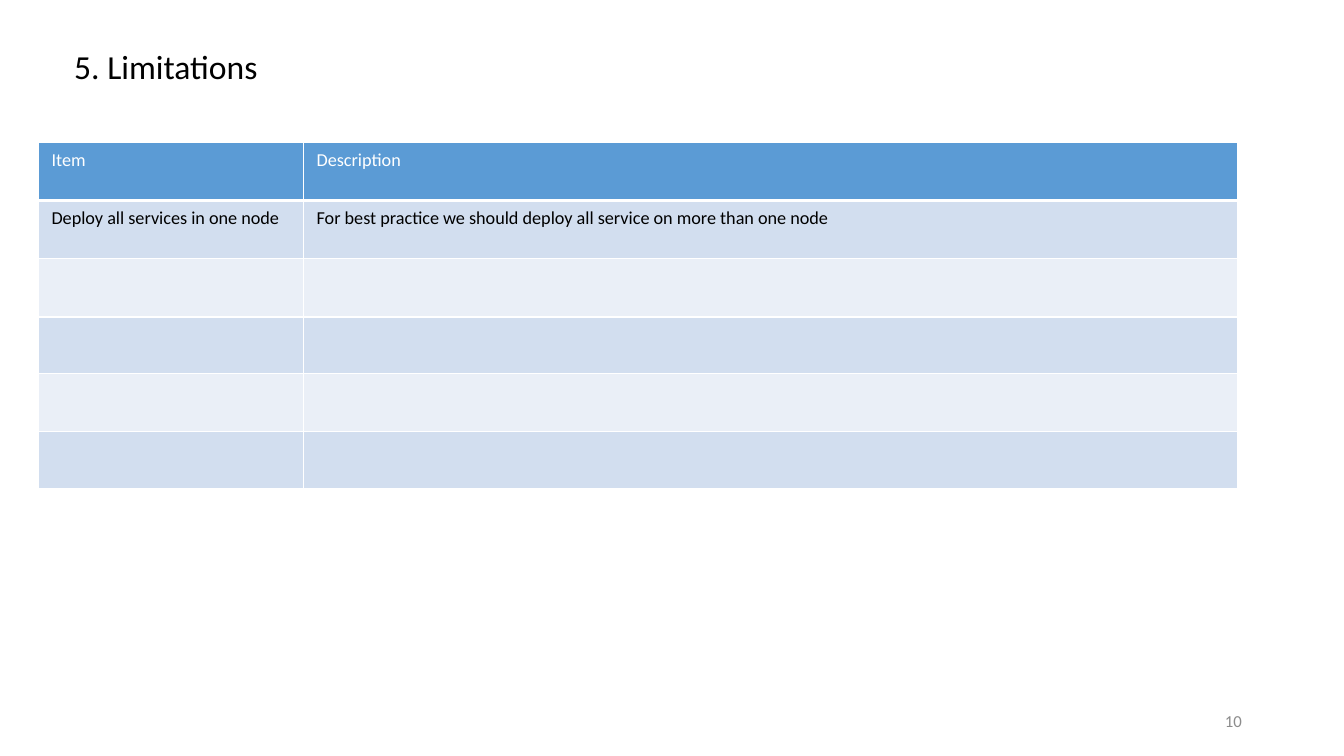
from lxml.etree import SubElement
from pptx import Presentation
from pptx.dml.color import RGBColor
from pptx.enum.text import MSO_ANCHOR, MSO_AUTO_SIZE, PP_ALIGN
from pptx.oxml.ns import qn
from pptx.util import Cm, Pt

BLACK = RGBColor(0x00, 0x00, 0x00)
WHITE = RGBColor(0xFF, 0xFF, 0xFF)
GREY = RGBColor(0x8C, 0x8C, 0x8C)
HEADER_BLUE = RGBColor(0x5B, 0x9B, 0xD5)
BAND_COLORS = (RGBColor(0xEA, 0xEF, 0xF7), RGBColor(0xD2, 0xDE, 0xEF))

TITLE_BOX = (Cm(1.42), Cm(1.02), Cm(17.4), Cm(1.27))
TABLE_BOX = (Cm(0.97), Cm(3.58), Cm(30.23), Cm(8.72))
NUMBER_BOX = (Cm(23.93), Cm(17.65), Cm(7.62), Cm(1.02))

COLUMN_WIDTHS = (Cm(6.68), Cm(23.55))
ROW_HEIGHTS = tuple(Cm(height) for height in (1.47, 1.47, 1.47, 1.42, 1.47, 1.42))
TABLE_TEXTS = (
    ("Item", "Description"),
    (
        "Deploy all services in one node",
        "For best practice we should deploy all service on more than one node",
    ),
)


def set_attributes(target, values):
    for name, value in values.items():
        setattr(target, name, value)


def write_text(text_frame, text, size, color, alignment=PP_ALIGN.LEFT):
    paragraph = text_frame.paragraphs[0]
    paragraph.alignment = alignment
    run = paragraph.add_run()
    run.text = text
    set_attributes(run.font, {"name": "Calibri", "size": Pt(size), "bold": False})
    run.font.color.rgb = color


def add_cell_borders(cell, bottom_width):
    """Draw white lines round a cell; call before filling it to keep the XML order."""
    properties = cell._tc.get_or_add_tcPr()
    for side in ("lnL", "lnR", "lnT", "lnB"):
        width = bottom_width if side == "lnB" else Pt(1)
        line = SubElement(properties, qn(f"a:{side}"), w=str(width))
        fill = SubElement(line, qn("a:solidFill"))
        SubElement(fill, qn("a:srgbClr"), val=str(WHITE))


def add_title(slide, box):
    title = slide.shapes.title
    set_attributes(title, dict(zip(("left", "top", "width", "height"), box)))
    set_attributes(title.text_frame, {
        "word_wrap": True,
        "auto_size": MSO_AUTO_SIZE.SHAPE_TO_FIT_TEXT,
        "vertical_anchor": MSO_ANCHOR.TOP,
        "margin_left": Cm(0.45),
    })
    write_text(title.text_frame, "5. Limitations", 24, BLACK)


def add_limitations_table(slide, box):
    table = slide.shapes.add_table(len(ROW_HEIGHTS), len(COLUMN_WIDTHS), *box).table
    for column, width in zip(table.columns, COLUMN_WIDTHS):
        column.width = width
    for row_index, (row, height) in enumerate(zip(table.rows, ROW_HEIGHTS)):
        row.height = height
        is_header = row_index == 0
        for cell in row.cells:
            add_cell_borders(cell, Pt(3) if is_header else Pt(1))
            cell.fill.solid()
            cell.fill.fore_color.rgb = HEADER_BLUE if is_header else BAND_COLORS[row_index % 2]
            set_attributes(cell, {
                "margin_left": Cm(0.33),
                "margin_right": Cm(0.33),
                "margin_top": Cm(0.18),
                "margin_bottom": Cm(0.18),
            })
    for row_index, texts in enumerate(TABLE_TEXTS):
        for column_index, text in enumerate(texts):
            cell = table.cell(row_index, column_index)
            write_text(cell.text_frame, text, 13, WHITE if row_index == 0 else BLACK)


def add_slide_number(slide, box):
    text_frame = slide.shapes.add_textbox(*box).text_frame
    set_attributes(text_frame, {"word_wrap": True, "vertical_anchor": MSO_ANCHOR.MIDDLE})
    write_text(text_frame, "10", 12, GREY, PP_ALIGN.RIGHT)


def main():
    presentation = Presentation()
    set_attributes(presentation, {"slide_width": Cm(33.87), "slide_height": Cm(19.05)})
    slide = presentation.slides.add_slide(presentation.slide_layouts.get_by_name("Title Only"))
    add_slide_number(slide, NUMBER_BOX)
    add_limitations_table(slide, TABLE_BOX)
    add_title(slide, TITLE_BOX)
    presentation.save("out.pptx")


if __name__ == "__main__":
    main()
